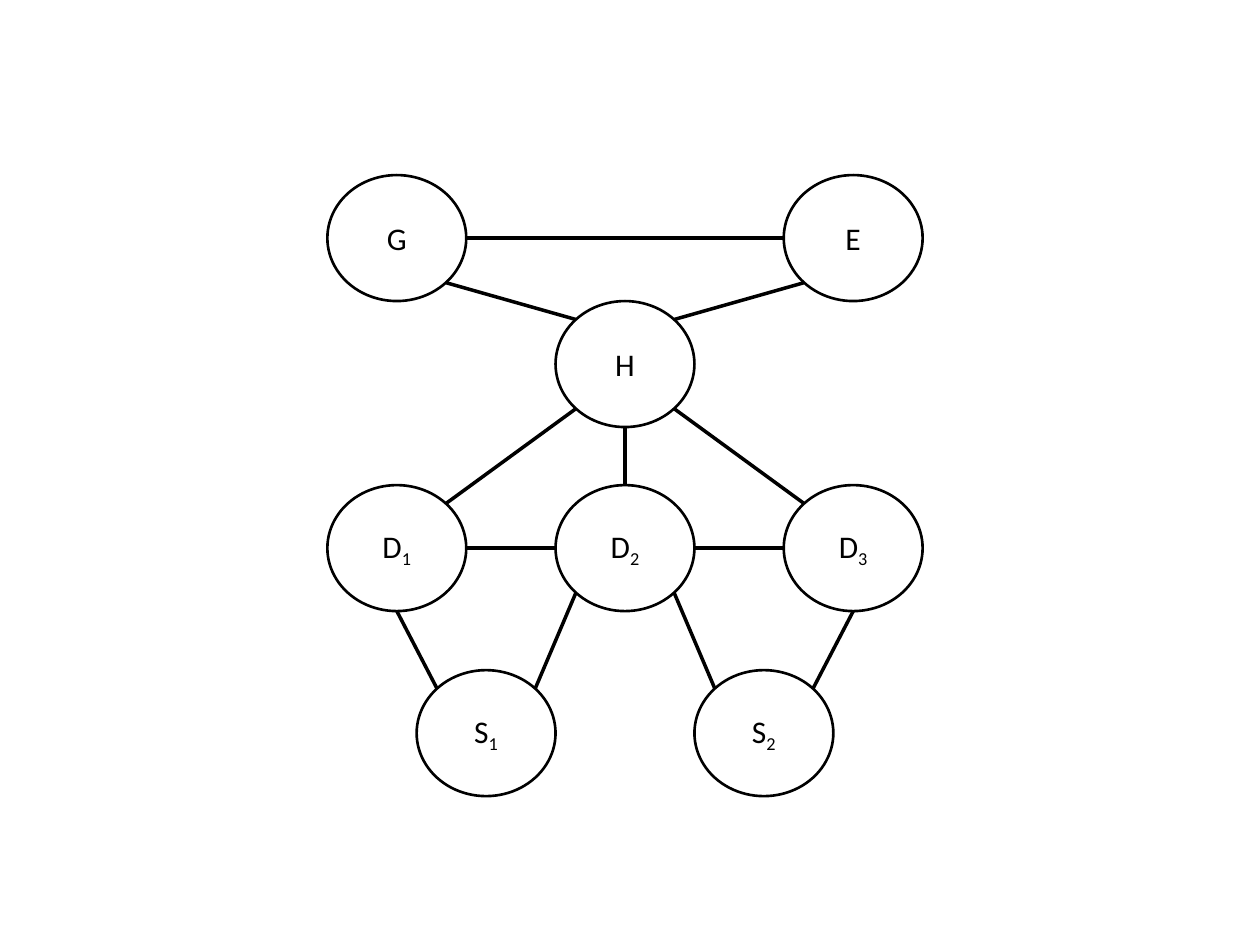
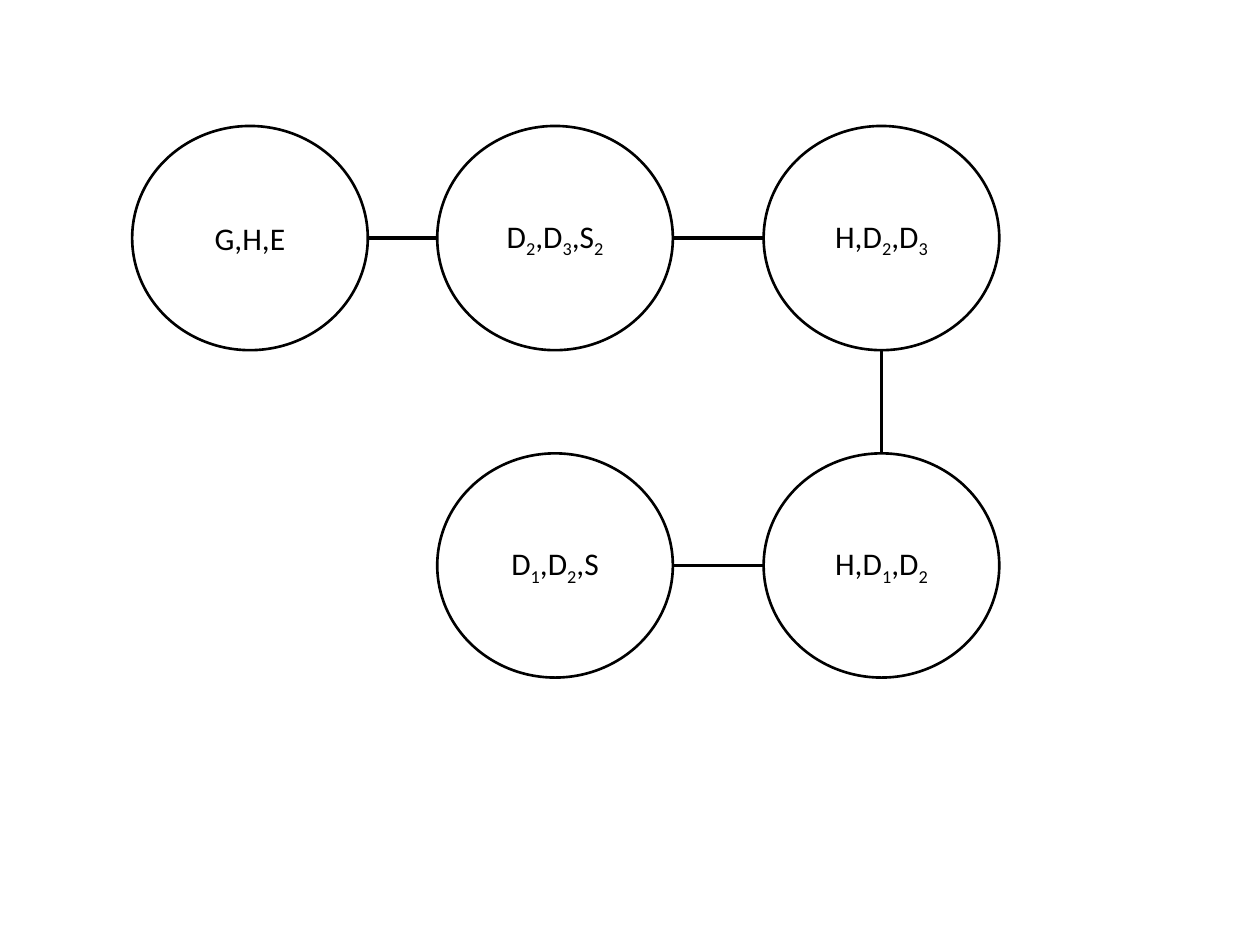
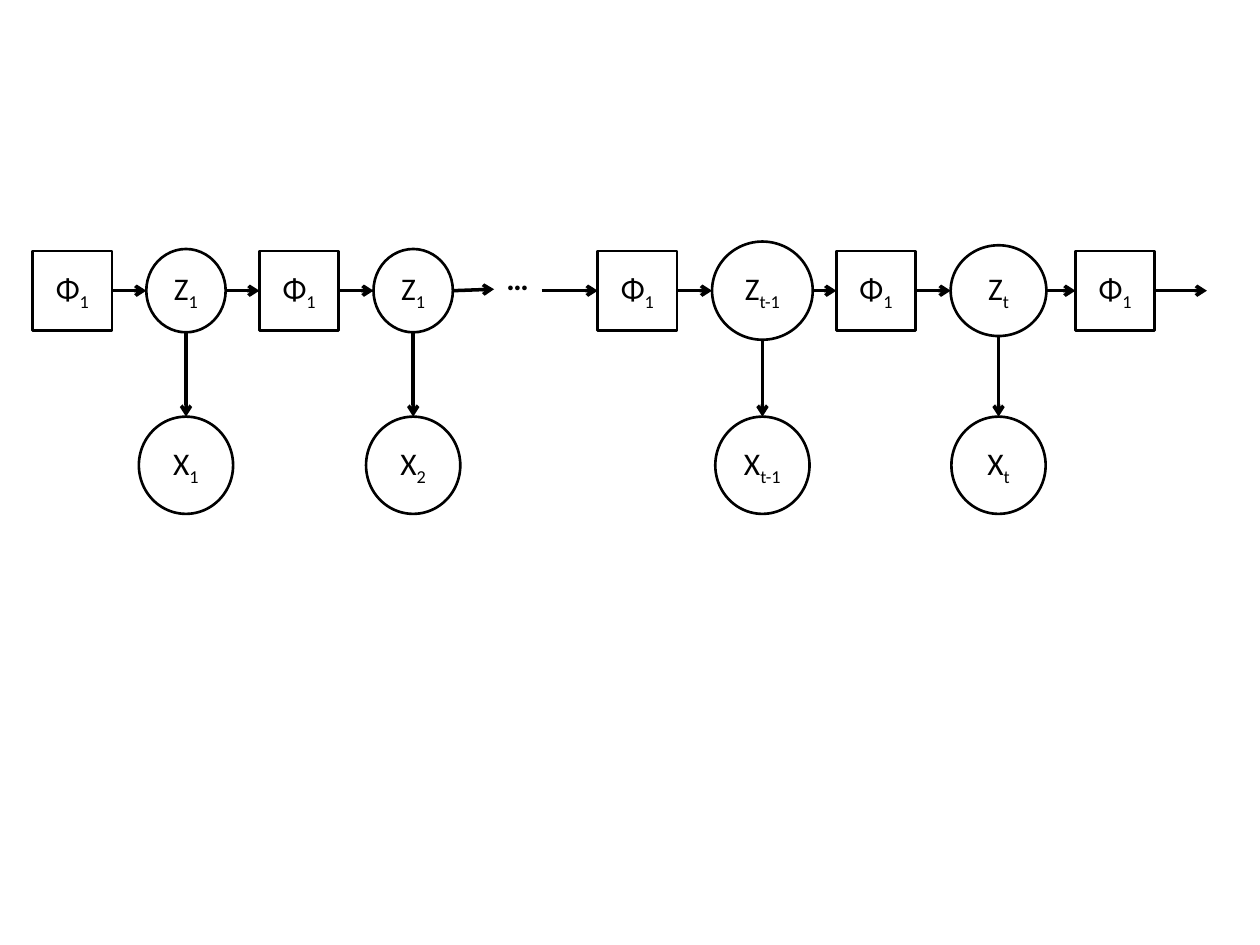
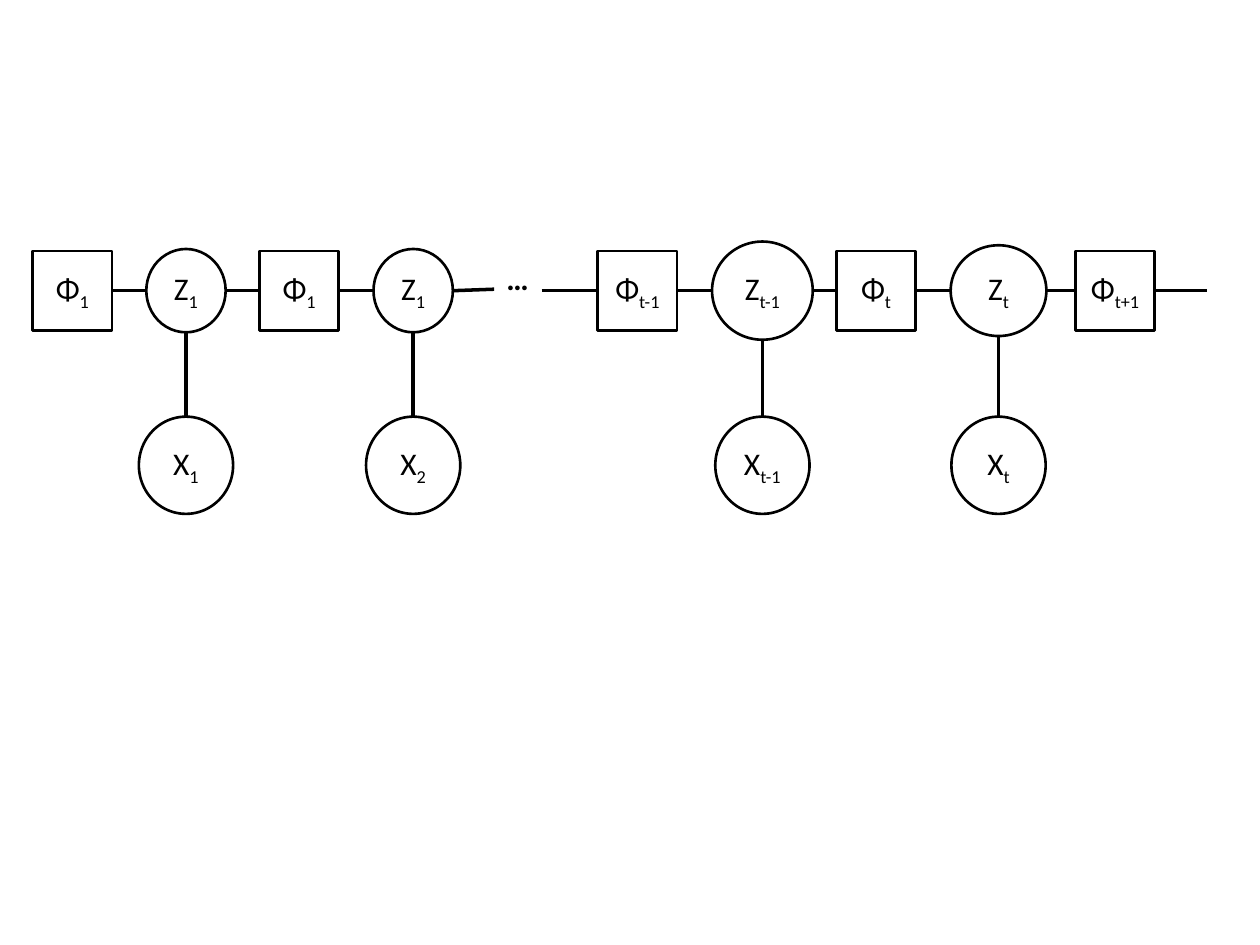
"""Build four slides of graphical models: two undirected graphs and two state chains."""
import math
from dataclasses import dataclass
from itertools import pairwise

from lxml import etree
from pptx import Presentation
from pptx import util as u
from pptx.dml.color import RGBColor
from pptx.enum import shapes, text
from pptx.oxml.ns import qn

COLORS = {"ink": "000000"}
FONT = "Calibri"
NODE_LINE, EDGE_LINE = 1.5, 2
ELLIPSE, SQUARE = shapes.MSO_SHAPE.OVAL, shapes.MSO_SHAPE.RECTANGLE

Point = tuple[float, float]


@dataclass(frozen=True)
class Node:
    """A labelled outline, placed by its centre and size in centimetres."""
    label: str
    x: float
    y: float
    w: float
    h: float
    kind: shapes.MSO_SHAPE = ELLIPSE

    def site(self, compass: str) -> Point:
        """Return the point of the outline in a compass direction such as n or sw."""
        reach = 0.5 if len(compass) == 1 else 0.5 * math.sqrt(0.5)
        dx = ("e" in compass) - ("w" in compass)
        dy = ("s" in compass) - ("n" in compass)
        return self.x + dx * reach * self.w, self.y + dy * reach * self.h


def ink() -> RGBColor:
    """Return the colour of all lines and labels."""
    return RGBColor.from_string(COLORS["ink"])


def add_text(tf, label: str, *, size: float = 18, bold: bool = False,
             align: text.PP_ALIGN = text.PP_ALIGN.CENTER) -> None:
    """Write a label in which underscores enclose the subscripts."""
    p = tf.paragraphs[0]
    p.alignment = align
    for i, part in enumerate(label.split("_")):
        if not part:
            continue
        r = p.add_run()
        r.text = part
        r.font.name, r.font.size, r.font.bold = FONT, u.Pt(size), bold
        r.font.color.rgb = ink()
        if i % 2:
            r.font._element.set("baseline", "-25000")


def add_node(s, node: Node) -> None:
    """Draw a node with its label."""
    sp = s.shapes.add_shape(node.kind, u.Cm(node.x - node.w / 2), u.Cm(node.y - node.h / 2),
                            u.Cm(node.w), u.Cm(node.h))
    sp.shadow.inherit = False
    sp.fill.background()
    sp.line.color.rgb = ink()
    sp.line.width = u.Pt(NODE_LINE)
    sp.text_frame.vertical_anchor = text.MSO_ANCHOR.MIDDLE
    add_text(sp.text_frame, node.label)


def add_edge(s, start: Point, end: Point, arrow: bool = False) -> None:
    """Draw a straight edge, with an arrowhead at its end on demand."""
    cxn = s.shapes.add_connector(shapes.MSO_CONNECTOR.STRAIGHT,
                                 *(u.Cm(v) for v in (*start, *end)))
    cxn.line.color.rgb = ink()
    cxn.line.width = u.Pt(EDGE_LINE)
    if arrow:
        etree.SubElement(cxn.line._get_or_add_ln(), qn("a:tailEnd"), type="arrow")
    etree.SubElement(cxn._element.spPr, qn("a:effectLst"))


def add_slide(prs):
    """Add a blank slide."""
    return prs.slides.add_slide(prs.slide_layouts[6])


def graph_slide(prs, nodes: dict[str, Node], edges: str) -> None:
    """Draw a graph whose edges are written as node.site-node.site."""
    s = add_slide(prs)
    for node in nodes.values():
        add_node(s, node)
    for edge in edges.split():
        ends = (end.split(".") for end in edge.split("-"))
        add_edge(s, *(nodes[name].site(compass) for name, compass in ends))


def variable_graph(prs) -> None:
    """Draw the graph of the single variables."""
    mid, pitch, w, h = 12.6, 4.6, 2.8, 2.54
    left, right = mid - pitch, mid + pitch
    top, hub, row, base = 4.8, 7.34, 11.05, 14.78
    places = {"G": (left, top), "E": (right, top), "H": (mid, hub),
              "D1": (left, row), "D2": (mid, row), "D3": (right, row),
              "S1": (mid - w, base), "S2": (mid + w, base)}
    nodes = {name: Node("_".join(name), x, y, w, h) for name, (x, y) in places.items()}
    graph_slide(prs, nodes, "G.e-E.w G.se-H.nw E.sw-H.ne H.sw-D1.ne H.s-D2.n H.se-D3.nw "
                            "D1.e-D2.w D2.e-D3.w D1.s-S1.nw D2.sw-S1.ne D2.se-S2.nw D3.s-S2.ne")


def clique_graph(prs) -> None:
    """Draw the chain of the cliques."""
    columns, top, base, w, h = (5.04, 11.19, 17.77), 4.8, 11.4, 4.75, 4.52
    places = {"GHE": ("G,H,E", columns[0], top),
              "DDS2": ("D_2_,D_3_,S_2_", columns[1], top),
              "HD23": ("H,D_2_,D_3_", columns[2], top),
              "HD12": ("H,D_1_,D_2_", columns[2], base),
              "DDS1": ("D_1_,D_2_,S", columns[1], base)}
    nodes = {name: Node(*place, w, h) for name, place in places.items()}
    graph_slide(prs, nodes, "GHE.e-DDS2.w DDS2.e-HD23.w HD23.s-HD12.n DDS1.e-HD12.w")


def state_chain(prs, factors: list[str], arrow: bool) -> None:
    """Draw a chain of factors and states, with an observation below each state."""
    s = add_slide(prs)
    axis, side, observed_y = 5.86, 1.6, 9.38
    boxes = [Node(f"Φ_{sub}_", x, axis, side, side, SQUARE)
             for sub, x in zip(factors, (1.46, 6.03, 12.85, 17.66, 22.48))]
    states = [Node(f"Z_{sub}_", x, axis, w, h) for sub, x, w, h in
              (("1", 3.75, side, 1.68), ("1", 8.33, side, 1.68),
               ("t-1", 15.37, 2.03, 1.98), ("t", 20.13, 1.93, 1.83))]
    observed = [Node(f"X_{sub}_", z.x, observed_y, 1.9, 1.96)
                for sub, z in zip(("1", "2", "t-1", "t"), states)]
    for node in boxes + states + observed:
        add_node(s, node)

    gap_left, gap_right, chain_end = 9.96, 10.92, 24.33
    chain = sorted(boxes + states, key=lambda node: node.x)
    for a, b in pairwise(chain):
        if a.x < gap_left < b.x:
            add_edge(s, a.site("e"), (gap_left, axis - 0.03), arrow)
            add_edge(s, (gap_right, axis), b.site("w"), arrow)
        else:
            add_edge(s, a.site("e"), b.site("w"), arrow)
    add_edge(s, chain[-1].site("e"), (chain_end, axis), arrow)
    for z, x in zip(states, observed):
        add_edge(s, z.site("s"), x.site("n"), arrow)

    tf = s.shapes.add_textbox(u.Cm(gap_left), u.Cm(5.1), u.Cm(gap_right - gap_left),
                              u.Cm(1.02)).text_frame
    tf.word_wrap = False
    tf.auto_size = text.MSO_AUTO_SIZE.SHAPE_TO_FIT_TEXT
    add_text(tf, "…", bold=True, align=text.PP_ALIGN.LEFT)


def main() -> None:
    """Build and save the presentation."""
    prs = Presentation()
    prs.slide_width, prs.slide_height = u.Cm(25.4), u.Cm(19.05)
    variable_graph(prs)
    clique_graph(prs)
    state_chain(prs, ["1"] * 5, arrow=True)
    state_chain(prs, ["1", "1", "t-1", "t", "t+1"], arrow=False)
    prs.save("out.pptx")


main()
